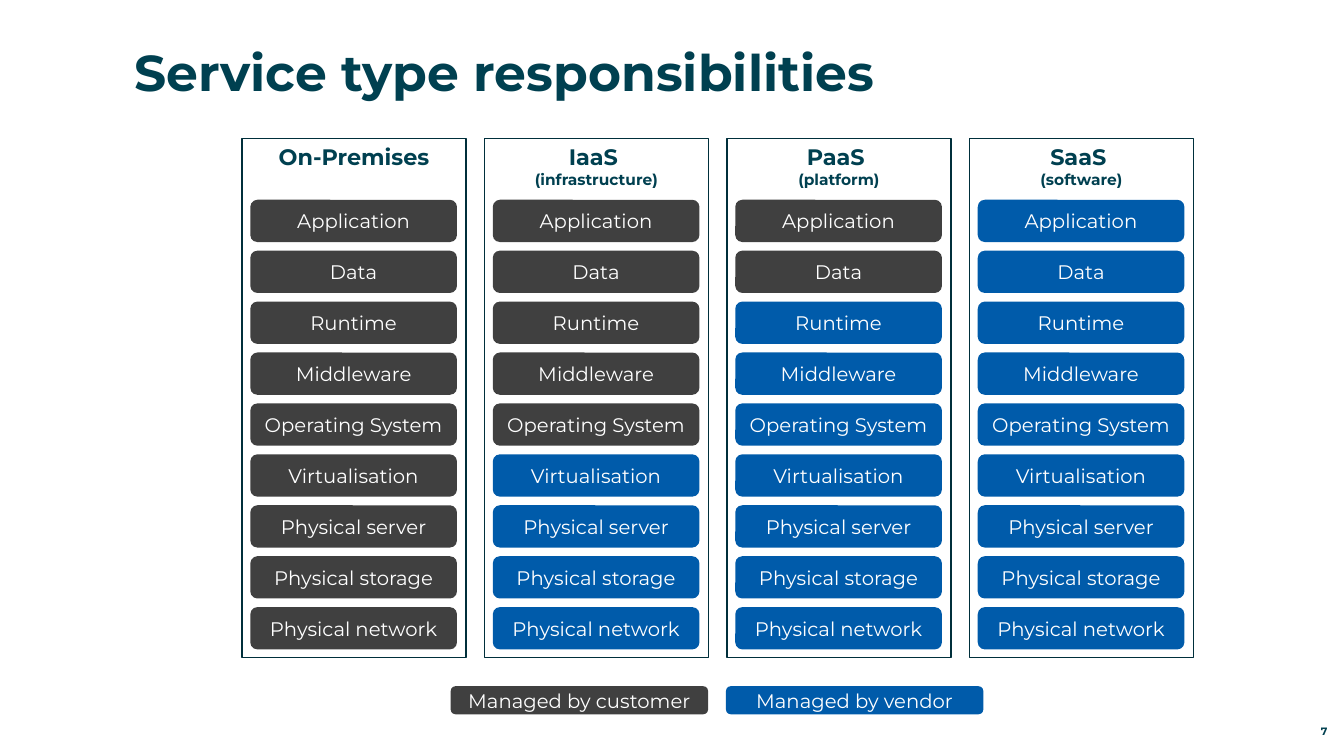
"""Build a slide comparing who manages each layer of four service types."""
from pptx import Presentation
from pptx.dml.color import RGBColor
from pptx.enum import shapes, text
from pptx.util import Pt

COLOURS = {
    "heading": "004050",
    "outline": "002F3B",
    "customer": "404040",
    "vendor": "005BAA",
    "white": "FFFFFF",
}
LAYERS = [
    "Application", "Data", "Runtime", "Middleware", "Operating System",
    "Virtualisation", "Physical server", "Physical storage", "Physical network",
]
SERVICES = [
    ("On-Premises", "", 9),
    ("IaaS ", "(infrastructure)", 5),
    ("PaaS ", "(platform)", 2),
    ("SaaS ", "(software)", 0),
]
COLUMN_LEFT, COLUMN_TOP, COLUMN_PITCH = 172.9, 98.8, 173.2
COLUMN_WIDTH, COLUMN_HEIGHT = 160, 371
LAYER_INSET, LAYER_TOP, LAYER_PITCH = 5.9, 142.7, 36.37
LAYER_WIDTH, LAYER_HEIGHT = 147.6, 30.2


def colour(name):
    """Return the named colour."""
    return RGBColor.from_string(COLOURS[name])


def add_run(paragraph, words, size, ink, bold):
    """Append a formatted run to a paragraph."""
    run = paragraph.add_run()
    run.text = words
    formats = {"name": "Montserrat", "size": Pt(size), "bold": bold}
    for attribute, value in formats.items():
        setattr(run.font, attribute, value)
    run.font.color.rgb = colour(ink)


def add_label(slide, box, words, size, align, anchor):
    """Add a bold text box without insets."""
    frame = slide.shapes.add_textbox(*map(Pt, box)).text_frame
    formats = {
        "word_wrap": True, "vertical_anchor": anchor, "margin_left": 0,
        "margin_right": 0, "margin_top": 0, "margin_bottom": 0,
    }
    for attribute, value in formats.items():
        setattr(frame, attribute, value)
    paragraph = frame.paragraphs[0]
    paragraph.alignment = align
    add_run(paragraph, words, size, "heading", True)


def add_box(slide, kind, box, fill, anchor):
    """Add a filled shape without outline and return it with its paragraph."""
    shape = slide.shapes.add_shape(kind, *map(Pt, box))
    shape.shadow.inherit = False
    shape.fill.solid()
    shape.fill.fore_color.rgb = colour(fill)
    shape.line.fill.background()
    shape.text_frame.word_wrap = True
    shape.text_frame.vertical_anchor = anchor
    paragraph = shape.text_frame.paragraphs[0]
    paragraph.alignment = text.PP_ALIGN.CENTER
    return shape, paragraph


def add_bar(slide, box, words, manager):
    """Add a rounded bar coloured by its manager."""
    _, paragraph = add_box(slide, shapes.MSO_SHAPE.ROUNDED_RECTANGLE, box,
                           manager, text.MSO_ANCHOR.MIDDLE)
    add_run(paragraph, words, 14, "white", False)


def add_service(slide, left, name, detail, customer_layers):
    """Add one service column with its heading and layers."""
    panel, paragraph = add_box(
        slide, shapes.MSO_SHAPE.RECTANGLE,
        (left, COLUMN_TOP, COLUMN_WIDTH, COLUMN_HEIGHT),
        "white", text.MSO_ANCHOR.TOP)
    panel.line.color.rgb = colour("outline")
    panel.line.width = Pt(1)
    add_run(paragraph, name, 16, "heading", True)
    if detail:
        paragraph.add_line_break()
        add_run(paragraph, detail, 11, "heading", True)
    for row, layer in enumerate(LAYERS):
        manager = "customer" if row < customer_layers else "vendor"
        box = (left + LAYER_INSET, LAYER_TOP + row * LAYER_PITCH,
               LAYER_WIDTH, LAYER_HEIGHT)
        add_bar(slide, box, layer, manager)


def main():
    """Build and save the slide."""
    presentation = Presentation()
    presentation.slide_width = Pt(960)
    presentation.slide_height = Pt(540)
    slide = presentation.slides.add_slide(presentation.slide_layouts[6])
    add_label(slide, (95.8, 29.5, 834.5, 41), "Service type responsibilities",
              36, text.PP_ALIGN.LEFT, text.MSO_ANCHOR.TOP)
    for column, service in enumerate(SERVICES):
        add_service(slide, COLUMN_LEFT + column * COLUMN_PITCH, *service)
    for left, manager in ((322, "customer"), (518.6, "vendor")):
        add_bar(slide, (left, 490.2, 183.8, 20), f"Managed by {manager}", manager)
    add_label(slide, (886.3, 512.6, 61.9, 14.4), "7",
              7.6, text.PP_ALIGN.RIGHT, text.MSO_ANCHOR.BOTTOM)
    presentation.save("out.pptx")


if __name__ == "__main__":
    main()
